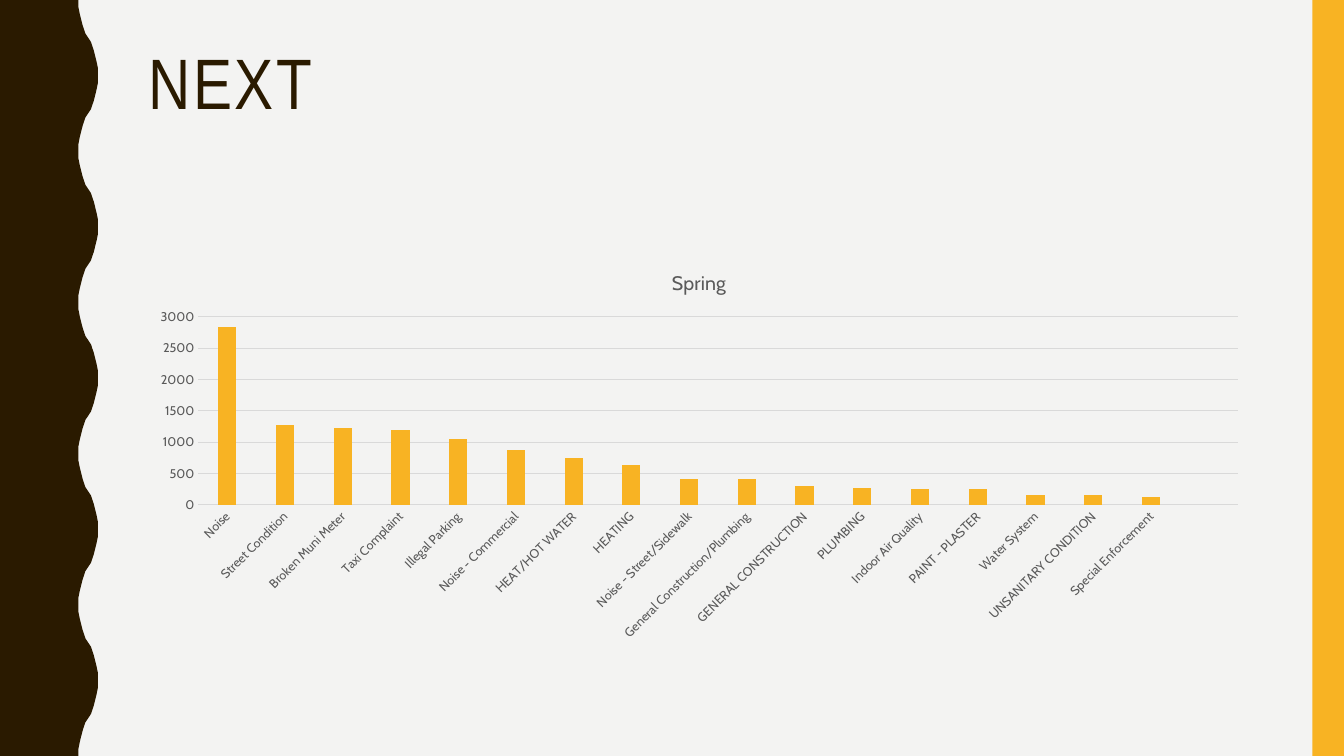
from typing import NamedTuple, Optional

from lxml import etree
from pptx import Presentation
from pptx import util as u
from pptx.chart import data as cd
from pptx.dml.color import RGBColor
from pptx.enum import chart as ch
from pptx.enum import shapes, text
from pptx.oxml.ns import qn

Pt = u.Pt
BROWN = RGBColor(0x2A, 0x1A, 0x00)
GOLD = RGBColor(0xF8, 0xB3, 0x23)
PAPER = RGBColor(0xF3, 0xF3, 0xF2)
GREY = RGBColor(0x59, 0x59, 0x59)
RULE = RGBColor(0xD9, 0xD9, 0xD9)
HEAD, BODY = "Arial Narrow", "Cabin"
WIDE, HIGH = 960, 540
LEFT, SPAN = 98.64, 801.36
WAVES = 5
# First quarter of one wave; the rest follows by symmetry.
CURVE = [(56, 0), (56.3, 5), (57, 10), (57.8, 14.4),
         (58.7, 18), (60, 21), (61.3, 24), (63, 27)]


class Count(NamedTuple):
    """Complaints of one kind."""
    name: str
    total: Optional[int]


COUNTS = [
    Count("Noise", 2840),
    Count("Street Condition", 1270),
    Count("Broken Muni Meter", 1220),
    Count("Taxi Complaint", 1200),
    Count("Illegal Parking", 1050),
    Count("Noise - Commercial", 870),
    Count("HEAT/HOT WATER", 750),
    Count("HEATING", 630),
    Count("Noise - Street/Sidewalk", 410),
    Count("General Construction/Plumbing", 410),
    Count("GENERAL CONSTRUCTION", 300),
    Count("PLUMBING", 270),
    Count("Indoor Air Quality", 250),
    Count("PAINT - PLASTER", 250),
    Count("Water System", 150),
    Count("UNSANITARY CONDITION", 150),
    Count("Special Enforcement", 130),
    Count("", None),
]


def style(font, *, face: str, size: float, color: RGBColor) -> None:
    """Set face, size and colour of a font."""
    font.name, font.size, font.bold = face, Pt(size), False
    font.color.rgb = color


def write(frame, words: str, *, gap: float = 0, lead: float = 1, **form) -> None:
    """Put left-aligned or default text in a frame with its format."""
    frame.text = words
    para = frame.paragraphs[0]
    para.line_spacing = lead
    style(para.runs[0].font, **form)
    if gap:
        para.runs[0].font._element.set("spc", str(round(gap * 100)))


def paint(shape, color: RGBColor) -> None:
    """Fill a shape flat, without line or shadow."""
    shape.shadow.inherit = False
    shape.fill.solid()
    shape.fill.fore_color.rgb = color
    shape.line.fill.background()


def add_wave(slide) -> None:
    """Draw the wavy band at the left edge."""
    rise = CURVE + [(126 - x, 54 - y) for x, y in reversed(CURVE)]
    cycle = rise + [(x, 108 - y) for x, y in reversed(rise)]
    edge = [(x, y + 108 * i) for i in range(WAVES) for x, y in cycle]
    pen = slide.shapes.build_freeform(0, 0, scale=float(Pt(1)))
    pen.add_line_segments(edge + [(0, HIGH)], close=True)
    paint(pen.convert_to_shape(), BROWN)


def add_title(slide) -> None:
    """Place and format the title."""
    title = slide.shapes.title
    title.left, title.top = Pt(LEFT), Pt(30.24)
    title.width, title.height = Pt(SPAN), Pt(117.36)
    frame = title.text_frame
    frame.word_wrap = True
    frame.auto_size = text.MSO_AUTO_SIZE.NONE
    frame.vertical_anchor = text.MSO_ANCHOR.TOP
    write(frame, "NEXT", face=HEAD, size=51, color=BROWN, gap=2, lead=0.9)
    frame.paragraphs[0].alignment = text.PP_ALIGN.LEFT


def set_axis(axis) -> None:
    """Format what both axes share."""
    axis.major_tick_mark = axis.minor_tick_mark = ch.XL_TICK_MARK.NONE
    style(axis.tick_labels.font, face=BODY, size=9, color=GREY)


def rule(line) -> None:
    """Make a thin grey line."""
    line.color.rgb, line.width = RULE, Pt(0.75)


def add_chart(slide) -> None:
    """Draw the column chart of complaints."""
    data = cd.CategoryChartData(number_format="General")
    data.categories = [c.name for c in COUNTS]
    data.add_series("Series 1", [c.total for c in COUNTS])
    chart = slide.shapes.add_chart(
        ch.XL_CHART_TYPE.COLUMN_CLUSTERED,
        Pt(LEFT), Pt(180), Pt(SPAN), Pt(283), data).chart
    style(chart.font, face=BODY, size=10, color=GREY)
    chart.has_legend = False
    write(chart.chart_title.text_frame, "Spring", face=BODY, size=14, color=GREY)
    chart.chart_title.include_in_layout = False

    plot = chart.plots[0]
    plot.gap_width, plot.overlap = 219, -27
    plot.vary_by_categories = False
    fill = plot.series[0].format.fill
    fill.solid()
    fill.fore_color.rgb = GOLD

    cats, vals = chart.category_axis, chart.value_axis
    set_axis(cats)
    set_axis(vals)
    rule(cats.format.line)
    body = cats._element.find(qn("c:txPr")).find(qn("a:bodyPr"))
    body.set("rot", "-2700000")
    body.set("vert", "horz")
    if cats._element.find(qn("c:noMultiLvlLbl")) is None:
        etree.SubElement(cats._element, qn("c:noMultiLvlLbl")).set("val", "0")
    vals.minimum_scale, vals.maximum_scale, vals.major_unit = 0, 3000, 500
    vals.has_major_gridlines = True
    rule(vals.major_gridlines.format.line)
    vals.format.line.fill.background()


def main() -> None:
    """Build the slide and save it."""
    deck = Presentation()
    deck.slide_width, deck.slide_height = Pt(WIDE), Pt(HIGH)
    slide = deck.slides.add_slide(deck.slide_layouts.get_by_name("Title Only"))
    slide.background.fill.solid()
    slide.background.fill.fore_color.rgb = PAPER
    add_wave(slide)
    band = slide.shapes.add_shape(
        shapes.MSO_SHAPE.RECTANGLE, Pt(937.5), 0, Pt(22.5), Pt(HIGH))
    paint(band, GOLD)
    add_title(slide)
    add_chart(slide)
    deck.save("out.pptx")


main()
